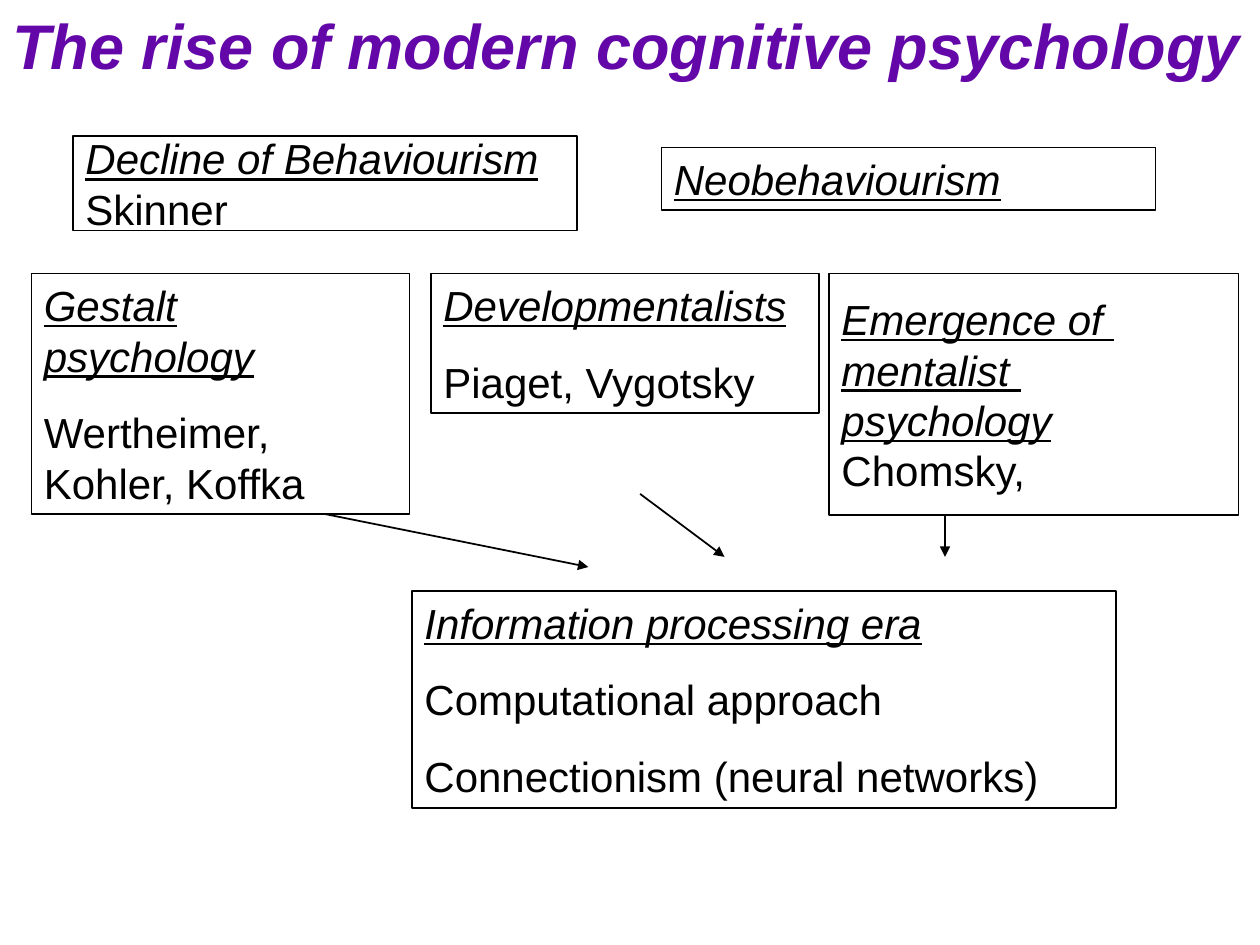
from pptx import Presentation
from pptx.dml.color import RGBColor
from pptx.enum.shapes import MSO_CONNECTOR, MSO_SHAPE
from pptx.enum.text import MSO_ANCHOR, PP_ALIGN
from pptx.oxml.ns import qn
from pptx.util import Inches, Pt
from lxml.etree import SubElement

BLACK = RGBColor(0x00, 0x00, 0x00)
WHITE = RGBColor(0xFF, 0xFF, 0xFF)
PURPLE = RGBColor(0x64, 0x07, 0xA9)
FONT = "Arial"

# Box (left, top, width, height), heading lines, body lines
CENTRED = [
    ((0.58, 1.08, 4, 0.75), ["Decline of Behaviourism"], ["Skinner"]),
    ((6.58, 2.17, 3.25, 1.92),
     ["Emergence of ", "mentalist ", "psychology"], ["Chomsky,"]),
]
SPACED = [
    ((0.25, 2.17, 3, 1.91), ["Gestalt psychology"],
     ["Wertheimer, Kohler, Koffka"]),
    ((3.42, 2.17, 3.08, 1.11), ["Developmentalists"], ["Piaget, Vygotsky"]),
    ((3.27, 4.69, 5.59, 1.72), ["Information processing era"],
     ["Computational approach", "Connectionism (neural networks)"]),
    ((5.25, 1.17, 3.92, 0.5), ["Neobehaviourism"], []),
]
ARROWS = [
    (2.58, 4.08, 4.67, 4.5),
    (5.08, 3.92, 5.75, 4.42),
    (7.5, 4.08, 7.5, 4.42),
]


def set_font(font, size, color, italic):
    font.name = FONT
    font.size = Pt(size)
    font.color.rgb = color
    font.italic = italic


def add_title(slide, box, text):
    frame = slide.shapes.add_textbox(*map(Inches, box)).text_frame
    frame.word_wrap = True
    frame.text = text
    font = frame.paragraphs[0].runs[0].font
    set_font(font, 36, PURPLE, True)
    font.bold = True


def add_school(slide, kind, box, heads, names, anchor, gap):
    """Add an outlined box with underlined heading lines above plain lines."""
    shape = slide.shapes.add_shape(kind, *map(Inches, box))
    shape.shadow.inherit = False
    shape.line.color.rgb = BLACK
    shape.line.width = Pt(1)
    if kind == MSO_SHAPE.FLOWCHART_PROCESS:
        shape.fill.solid()
        shape.fill.fore_color.rgb = WHITE
    else:
        shape.fill.background()
    frame = shape.text_frame
    frame.word_wrap = True
    frame.vertical_anchor = anchor
    frame.text = "\n".join(heads + names)
    for i, para in enumerate(frame.paragraphs):
        para.alignment = PP_ALIGN.LEFT
        if i and gap:
            para.space_before = Pt(gap)
        head = i < len(heads)
        font = para.runs[0].font
        set_font(font, 24, BLACK, head)
        font.underline = head


def add_arrow(slide, ends):
    arrow = slide.shapes.add_connector(
        MSO_CONNECTOR.STRAIGHT, *map(Inches, ends))
    arrow.line.color.rgb = BLACK
    arrow.line.width = Pt(1)
    SubElement(arrow.line._get_or_add_ln(), qn("a:tailEnd"), type="triangle")
    SubElement(arrow._element.spPr, qn("a:effectLst"))


def main():
    deck = Presentation()
    deck.slide_width = Inches(10)
    deck.slide_height = Inches(7.5)
    slide = deck.slides.add_slide(deck.slide_layouts[6])
    add_title(slide, (0, 0, 10, 0.92),
              "The rise of modern cognitive psychology")
    for school in CENTRED:
        add_school(slide, MSO_SHAPE.FLOWCHART_PROCESS, *school,
                   MSO_ANCHOR.MIDDLE, 0)
    for school in SPACED:
        add_school(slide, MSO_SHAPE.RECTANGLE, *school, MSO_ANCHOR.TOP, 15)
    for ends in ARROWS:
        add_arrow(slide, ends)
    deck.save("out.pptx")


if __name__ == "__main__":
    main()
